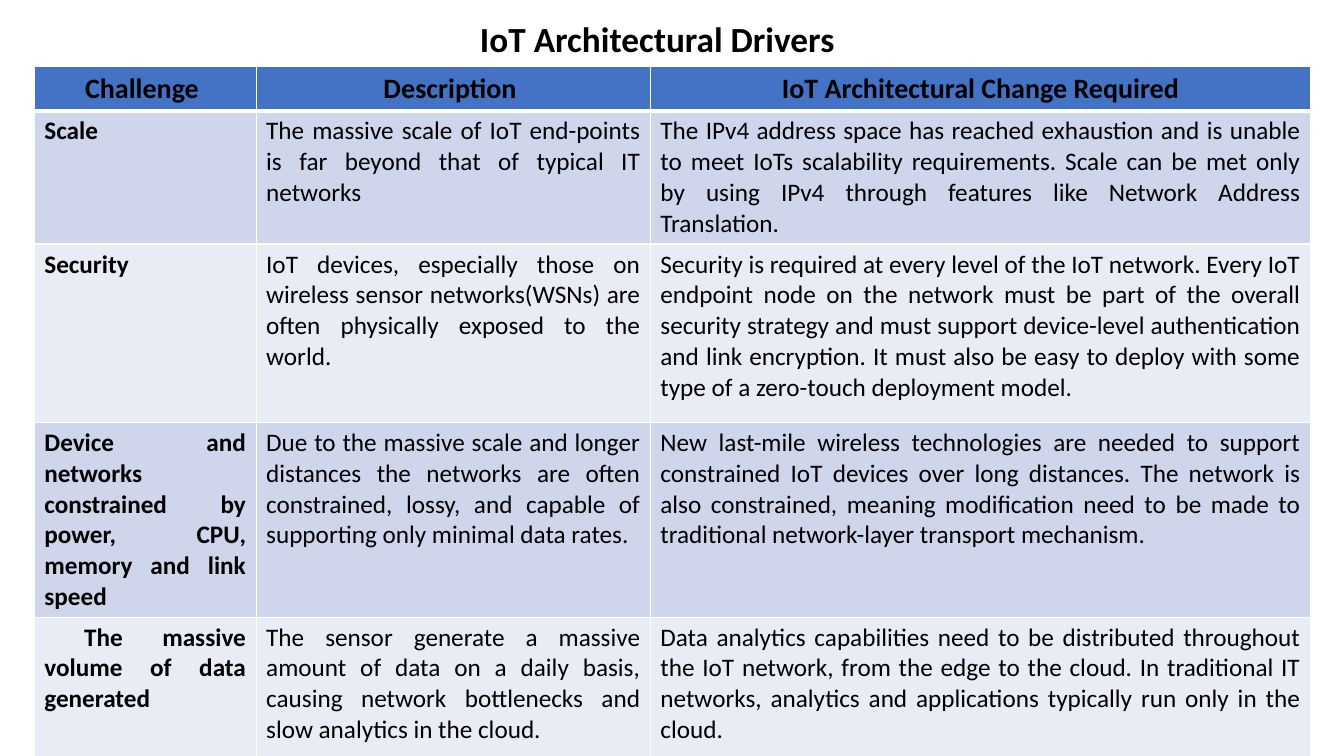
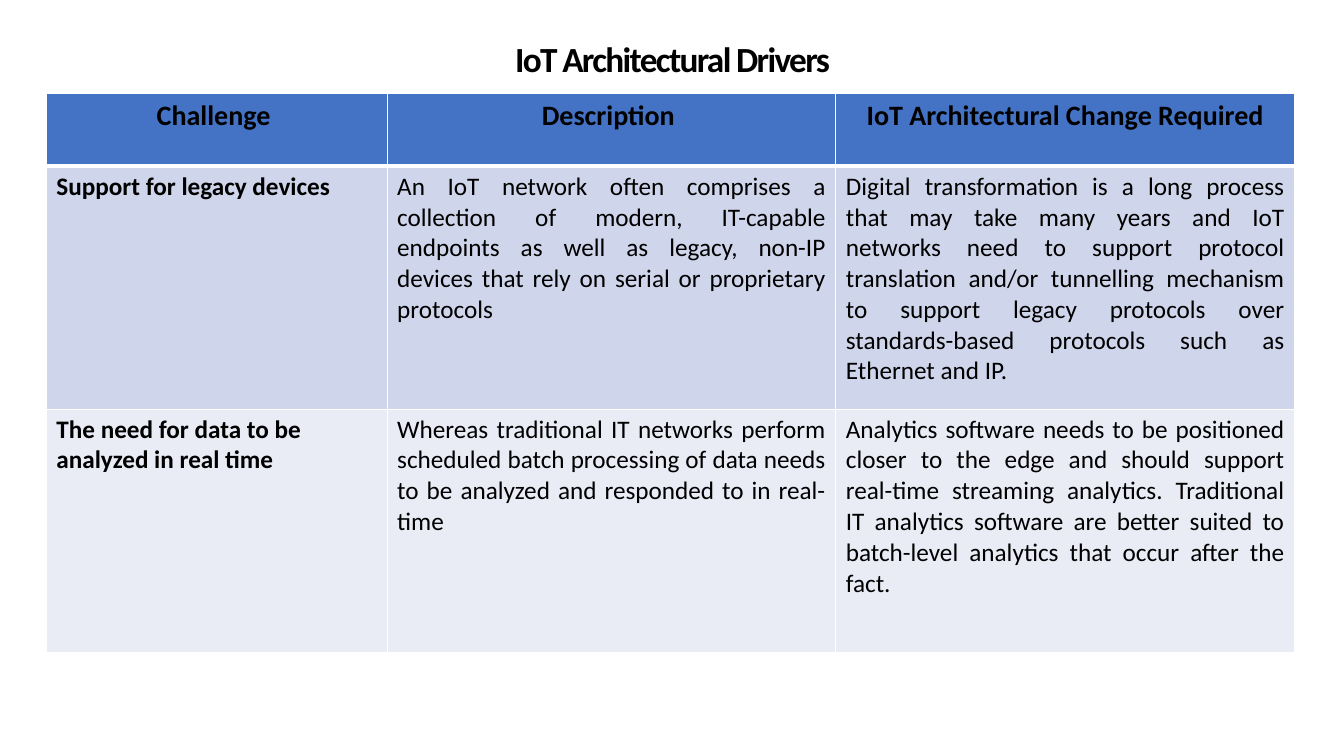
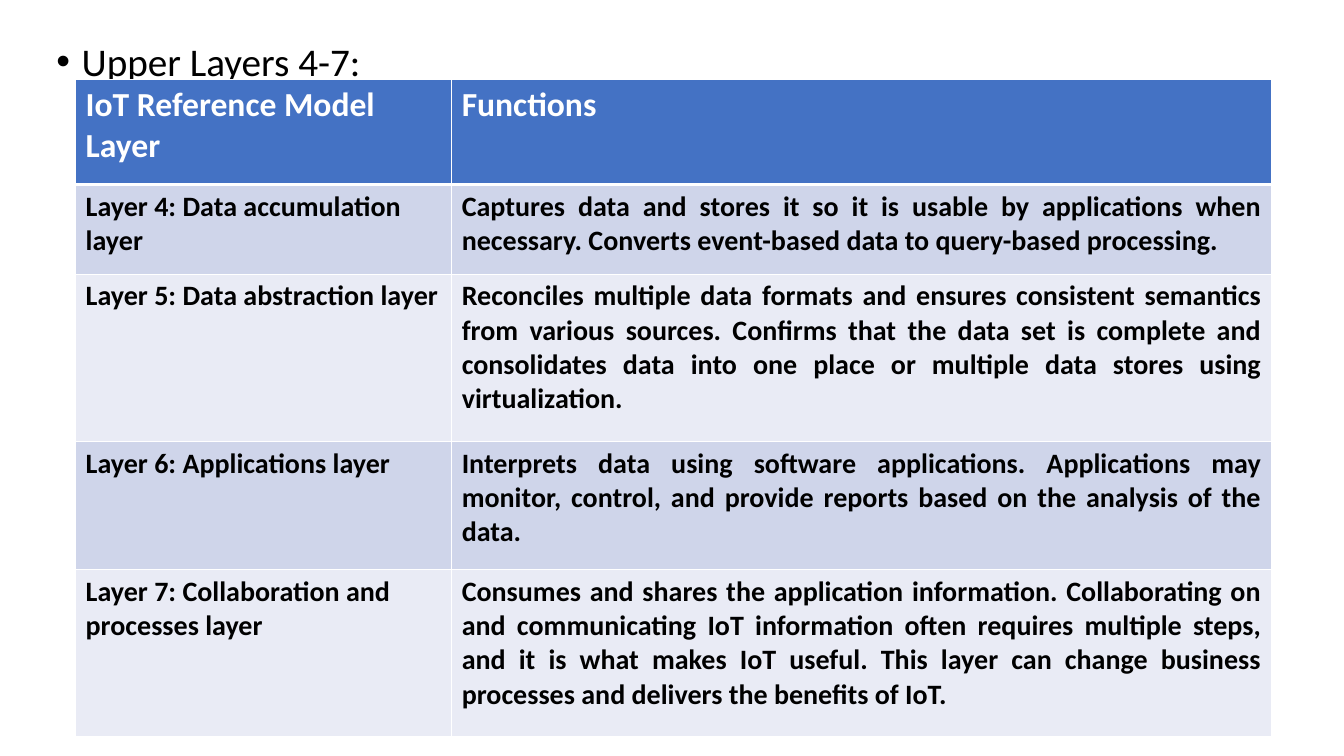
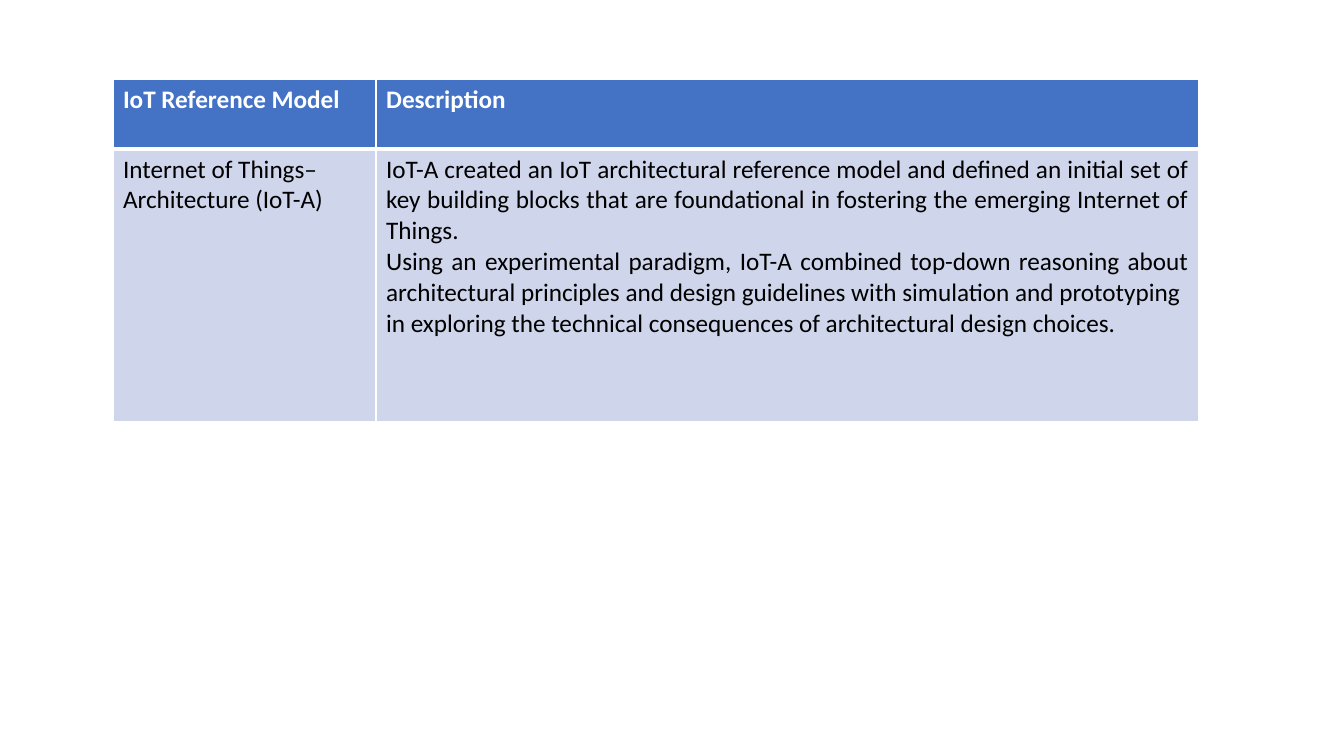
from lxml.etree import SubElement
from pptx import Presentation
from pptx.dml.color import RGBColor
from pptx.enum.text import MSO_ANCHOR as Anchor, MSO_AUTO_SIZE as AutoSize, PP_ALIGN as Align
from pptx.oxml.ns import qn
from pptx.util import Pt

PX = 9144
COLORS = {
    "text": "000000",
    "header_text": "FFFFFF",
    "header": "4472C4",
    "odd": "CFD5EA",
    "even": "E9EBF5",
    "border": "FFFFFF",
}
FONT = "Calibri"
TITLE_ONLY, TITLE_AND_BODY, BLANK = 5, 1, 6
THIN, THICK = 1, 3

DRIVERS_HEADER = ("Challenge ", "Description ", "IoT Architectural Change Required")
DRIVERS = [
    ("Scale",
     "The massive scale of IoT end-points is far beyond that of typical IT networks",
     "The IPv4 address space has reached exhaustion and is unable to meet IoTs scalability "
     "requirements. Scale can be met only by using IPv4 through features like Network Address "
     "Translation."),
    ("Security",
     "IoT devices, especially those on wireless sensor networks(WSNs) are often physically "
     "exposed to the world.",
     "Security is required at every level of the IoT network. Every IoT endpoint node on the "
     "network must be part of the overall security strategy and must support device-level "
     "authentication and link encryption. It must also be easy to deploy with some type of a "
     "zero-touch deployment model."),
    ("Device and networks constrained by power, CPU, memory and link speed",
     "Due to the massive scale and longer distances the networks are often constrained, lossy, "
     "and capable of supporting only minimal data rates.",
     "New last-mile wireless technologies are needed to support constrained IoT devices over "
     "long distances. The network is also constrained, meaning modification need to be made to "
     "traditional network-layer transport mechanism."),
    (" The massive volume of data generated",
     "The sensor generate a massive amount of data on a daily basis, causing network "
     "bottlenecks and slow analytics in the cloud.",
     "Data analytics capabilities need to be distributed throughout the IoT network, from the "
     "edge to the cloud. In traditional IT networks, analytics and applications typically run "
     "only in the cloud."),
]
MORE_DRIVERS = [
    ("Support for legacy devices",
     "An IoT network often comprises a collection of modern, IT-capable endpoints as well as "
     "legacy, non-IP devices that rely on serial or proprietary protocols",
     "Digital transformation is a long process that may take many years and IoT networks need "
     "to support protocol translation and/or tunnelling mechanism to support legacy protocols "
     "over standards-based protocols such as Ethernet and IP."),
    ("The need for data to be analyzed in real time",
     "Whereas traditional IT networks perform scheduled batch processing of data needs to be "
     "analyzed and responded to in real-time",
     "Analytics software needs to be positioned closer to the edge and should support real-time "
     "streaming analytics. Traditional IT analytics software are better suited to batch-level "
     "analytics that occur after the fact."),
]
UPPER_LAYERS = [
    ("Layer 4: Data accumulation\nlayer",
     "Captures data and stores it so it is usable by applications when necessary. Converts "
     "event-based data to query-based processing."),
    ("Layer 5: Data abstraction layer",
     "Reconciles multiple data formats and ensures consistent semantics from various sources. "
     "Confirms that the data set is complete and consolidates data into one place or multiple "
     "data stores using virtualization."),
    ("Layer 6: Applications layer",
     "Interprets data using software applications. Applications may monitor, control, and "
     "provide reports based on the analysis of the data."),
    ("Layer 7: Collaboration and\nprocesses layer",
     "Consumes and shares the application information. Collaborating on and communicating IoT "
     "information often requires multiple steps, and it is what makes IoT useful. This layer can "
     "change business processes and delivers the benefits of IoT."),
]
REFERENCE_MODELS = [
    ("Internet of Things–\nArchitecture (IoT-A)",
     "IoT-A created an IoT architectural reference model and defined an initial set of key "
     "building blocks that are foundational in fostering the emerging Internet of Things.\n"
     "Using an experimental paradigm, IoT-A combined top-down reasoning about architectural "
     "principles and design guidelines with simulation and prototyping\n"
     "in exploring the technical consequences of architectural design choices."),
]


def px(length):
    return length * PX


def set_attributes(target, values):
    for name, value in values.items():
        setattr(target, name, value)


def text_style(size, bold=False, align=Align.LEFT, color="text", **paragraph_values):
    return {
        "font": {"name": FONT, "size": Pt(size), "bold": bold},
        "paragraph": {"alignment": align, **paragraph_values},
        "color": COLORS[color],
    }


def write_text(frame, text, style):
    frame.text = text
    for paragraph in frame.paragraphs:
        set_attributes(paragraph, style["paragraph"])
        for run in paragraph.runs:
            set_attributes(run.font, style["font"])
            run.font.color.rgb = RGBColor.from_string(style["color"])


def place(shape, box):
    names = ("left", "top", "width", "height")
    set_attributes(shape, {name: px(length) for name, length in zip(names, box)})


def add_title(slide, box, text, line_spacing, tracking=0):
    title = slide.shapes.title
    place(title, box)
    frame = title.text_frame
    set_attributes(frame, {"vertical_anchor": Anchor.MIDDLE, "auto_size": AutoSize.NONE,
                           "word_wrap": True})
    write_text(frame, text, text_style(25.2, True, Align.CENTER, line_spacing=line_spacing))
    if tracking:
        frame.paragraphs[0].runs[0].font._element.set("spc", str(tracking))


def add_bullet(slide, box, text):
    title = slide.shapes.title
    title._element.getparent().remove(title._element)
    body = slide.placeholders[1]
    place(body, box)
    body.text_frame.auto_size = AutoSize.NONE
    write_text(body.text_frame, text, text_style(28, line_spacing=0.9, space_before=Pt(0)))
    properties = body.text_frame.paragraphs[0]._p.get_or_add_pPr()
    properties.set("marL", str(px(25)))
    properties.set("indent", str(px(-25)))


def set_borders(cell, widths):
    properties = cell._tc.get_or_add_tcPr()
    for side, width in widths.items():
        line = SubElement(properties, qn(f"a:ln{side}"), w=str(Pt(width)))
        fill = SubElement(line, qn("a:solidFill"))
        SubElement(fill, qn("a:srgbClr"), val=COLORS["border"])


def add_grid(slide, origin, widths, heights, header, rows, header_style, column_styles):
    frame = slide.shapes.add_table(len(heights), len(widths), *map(px, origin),
                                   px(sum(widths)), px(sum(heights)))
    table = frame.table
    table.horz_banding = False
    for column, width in zip(table.columns, widths):
        column.width = px(width)
    for row_index, texts in enumerate([header, *rows]):
        table.rows[row_index].height = px(heights[row_index])
        band = "header" if row_index == 0 else ("even", "odd")[row_index % 2]
        borders = {"L": THIN, "R": THIN,
                   "T": THICK if row_index == 1 else THIN,
                   "B": THICK if row_index == 0 else THIN}
        for column_index, text in enumerate(texts):
            cell = table.cell(row_index, column_index)
            set_borders(cell, borders)
            cell.fill.solid()
            cell.fill.fore_color.rgb = RGBColor.from_string(COLORS[band])
            style = header_style if row_index == 0 else column_styles[column_index]
            write_text(cell.text_frame, text, style)


def add_drivers_slide(presentation, title, grid, rows, name_align):
    slide = presentation.slides.add_slide(presentation.slide_layouts[TITLE_ONLY])
    add_title(slide, text="IoT Architectural Drivers", **title)
    detail = text_style(18, align=Align.JUSTIFY)
    add_grid(slide, **grid, header=DRIVERS_HEADER, rows=rows,
             header_style=text_style(20, True, Align.CENTER),
             column_styles=[text_style(18, True, name_align), detail, detail])


def add_layers_slide(presentation):
    slide = presentation.slides.add_slide(presentation.slide_layouts[TITLE_AND_BODY])
    add_bullet(slide, (46, 37, 1150, 476), "Upper Layers 4-7:")
    add_grid(slide, (75, 79), (373, 813), (104, 89, 166, 127, 166),
             ("IoT Reference Model Layer", "Functions"), UPPER_LAYERS,
             text_style(24, True, color="header_text"),
             [text_style(20, True), text_style(20, True, Align.JUSTIFY)])


def add_models_slide(presentation):
    slide = presentation.slides.add_slide(presentation.slide_layouts[BLANK])
    add_grid(slide, (112, 79), (261, 816), (69, 270),
             ("IoT Reference Model", "Description"), REFERENCE_MODELS,
             text_style(18, True, color="header_text"),
             [text_style(18), text_style(18, align=Align.JUSTIFY)])


def main():
    presentation = Presentation()
    set_attributes(presentation, {"slide_width": px(1333), "slide_height": px(750)})
    add_drivers_slide(
        presentation,
        {"box": (63, 18, 1178, 45), "line_spacing": 0.9},
        {"origin": (34, 66), "widths": (220, 391, 655), "heights": (44, 110, 177, 185, 143)},
        DRIVERS, Align.JUSTIFY)
    add_drivers_slide(
        presentation,
        {"box": (78, 40, 1178, 45), "line_spacing": 0.75, "tracking": -120},
        {"origin": (46, 93), "widths": (338, 445, 455), "heights": (72, 241, 241)},
        MORE_DRIVERS, Align.LEFT)
    add_layers_slide(presentation)
    add_models_slide(presentation)
    presentation.save("out.pptx")


if __name__ == "__main__":
    main()
